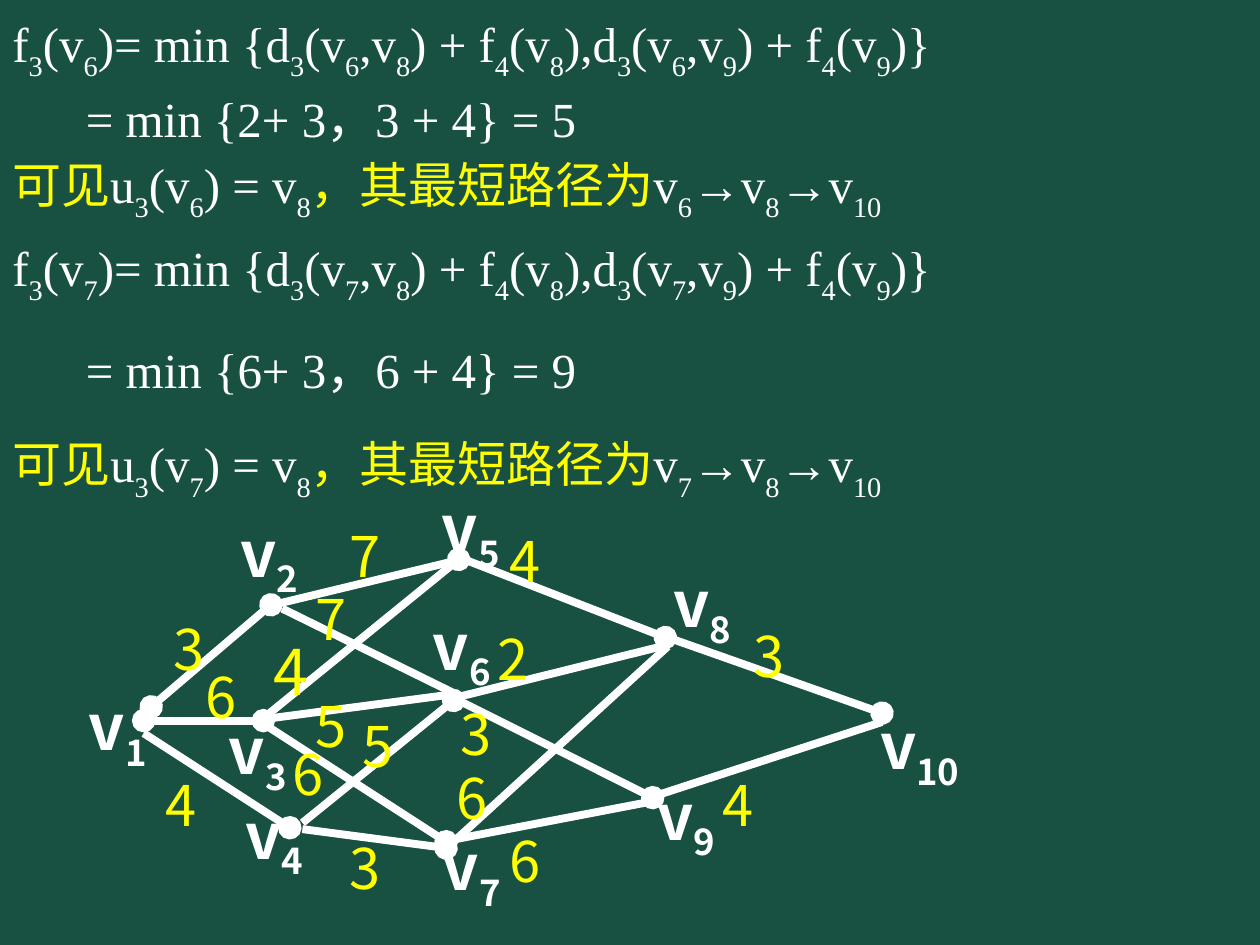
from lxml import etree
from pptx import Presentation
from pptx.dml.color import RGBColor
from pptx.enum.shapes import MSO_CONNECTOR as CONN
from pptx.enum.text import MSO_AUTO_SIZE as AUTO, PP_ALIGN as ALIGN
from pptx.oxml.ns import qn
from pptx.util import Pt

COLORS = {"board": "185041", "chalk": "FFFFFF", "yellow": "FFFF00"}
SERIF, SANS = "Times New Roman", "Noto Sans CJK SC"


def add_box(s, left, top, width, height, wrap):
    tb = s.shapes.add_textbox(Pt(left), Pt(top), Pt(width), Pt(height))
    tf = tb.text_frame
    tf.word_wrap = wrap
    tf.auto_size = AUTO.SHAPE_TO_FIT_TEXT
    return tf


def add_text(p, text, size, color, font, bold=False, base="-30000"):
    """Add runs; the digits right after each underscore become a subscript."""
    first, *rest = text.split("_")
    runs = [(first, False)]
    for part in rest:
        tail = part.lstrip("0123456789")
        runs += [(part[:len(part) - len(tail)], True), (tail, False)]
    for piece, is_sub in runs:
        if not piece:
            continue
        r = p.add_run()
        r.text = piece
        r.font.size = Pt(size)
        r.font.bold = bold
        r.font.name = font
        r.font.color.rgb = RGBColor.from_string(COLORS[color])
        rpr = r.font._element
        etree.SubElement(rpr, qn("a:ea")).set("typeface", SANS)
        if is_sub:
            rpr.set("baseline", base)


prs = Presentation()
prs.slide_width, prs.slide_height = Pt(720), Pt(540)
s = prs.slides.add_slide(prs.slide_layouts[6])
s.background.fill.solid()
s.background.fill.fore_color.rgb = RGBColor.from_string(COLORS["board"])

# Derivations for v6 and v7: top, width, height, node, first cost, second cost,
# result, line spacing of the later lines, space before them
derivations = [
    (0, 720, 118, 6, 2, 3, 5, 1.1, 0),
    (128, 702, 155.5, 7, 6, 6, 9, 1.15, 14),
]
for top, width, height, n, cost8, cost9, best, spacing, before in derivations:
    tf = add_box(s, 0, top, width, height, True)
    lines = [
        [(f"f_3(v_{n})= min {{d_3(v_{n},v_8) + f_4(v_8),d_3(v_{n},v_9) + f_4(v_9)}}", "chalk")],
        [(f"= min {{{cost8}+ 3，{cost9} + 4}} = {best}", "chalk")],
        [("可见", "yellow"), (f"u_3(v_{n}) = v_8", "chalk"),
         ("，其最短路径为", "yellow"), (f"v_{n}→v_8→v_10", "chalk")],
    ]
    for i, segments in enumerate(lines):
        p = tf.add_paragraph() if i else tf.paragraphs[0]
        p.line_spacing = spacing if i else 1.1
        if i and before:
            p.space_before = Pt(before)
        if i == 1:
            p._p.get_or_add_pPr().set("marL", str(Pt(42)))
        for text, color in segments:
            add_text(p, text, 28, color, SERIF)

# Edges of the network: x1, y1, x2, y2, ends that carry a node dot
edges = [
    (86.4, 403.9, 154.8, 345.6, "head tail"),
    (82.1, 411.8, 150.5, 411.8, "head tail"),
    (82.1, 419, 165.6, 473, "tail"),
    (156.2, 345.6, 263.5, 319.7, ""),
    (161.3, 347.8, 259.2, 396, ""),
    (150.5, 410.4, 262.1, 319.7, "tail"),
    (154.8, 410.4, 259.2, 396.7, ""),
    (153.4, 415.4, 254.9, 481, "tail"),
    (172.8, 470.2, 259.2, 400.3, "tail"),
    (172.8, 473.8, 254.9, 484.6, "tail"),
    (267.1, 320.4, 380.2, 364.3, "tail"),
    (262.1, 398.2, 378, 369.4, ""),
    (262.1, 400.3, 373, 455.8, "tail"),
    (259.2, 481, 381.6, 369.4, ""),
    (252.7, 481, 373, 457.9, ""),
    (381.6, 364.3, 504, 407.5, "tail"),
    (378, 453.6, 504, 412.6, ""),
]
for x1, y1, x2, y2, dots in edges:
    line = s.shapes.add_connector(CONN.STRAIGHT, Pt(x1), Pt(y1), Pt(x2), Pt(y2))
    line.line.width = Pt(4.5)
    line.line.color.rgb = RGBColor.from_string(COLORS["chalk"])
    for end in dots.split():
        etree.SubElement(line.line._get_or_add_ln(), qn(f"a:{end}End")).set("type", "oval")
    etree.SubElement(line._element.spPr, qn("a:effectLst"))

# Node names: number, left, top
nodes = [
    (1, 42.5, 389.5), (2, 128.9, 290.2), (3, 122.4, 403.2), (4, 131.8, 451.4),
    (5, 244.1, 275.8), (6, 239, 343.4), (7, 244.8, 469.4), (8, 376.6, 319),
    (9, 367.2, 440.6), (10, 493.9, 400.3),
]
for n, left, top in nodes:
    p = add_box(s, left, top, 63.4 if n > 9 else 49.7, 50.4, False).paragraphs[0]
    p.alignment = ALIGN.CENTER
    add_text(p, f"v_{n}", 36, "chalk", SANS, True, "-25000")

# Edge lengths: value, left, top, text size
lengths = [
    (3, 191.5, 473, 32), (3, 91.4, 347.8, 32), (6, 109.4, 375.1, 32),
    (3, 422.6, 351.4, 32), (3, 254.9, 396, 32), (4, 86.4, 437, 32),
    (4, 148.3, 357.8, 36), (4, 404.6, 437, 32), (4, 283, 297.4, 32),
    (7, 191.5, 294.5, 32), (7, 172.1, 330.5, 32), (5, 172.1, 391.7, 32),
    (6, 283, 468.7, 32), (6, 252.7, 432.7, 32), (6, 159.1, 419, 32),
    (5, 199.4, 403.2, 32), (2, 276.5, 353.5, 32),
]
for value, left, top, size in lengths:
    width, height = (36, 50.4) if size == 36 else (33.8, 45.4)
    p = add_box(s, left, top, width, height, False).paragraphs[0]
    p.alignment = ALIGN.CENTER
    add_text(p, str(value), size, "yellow", SANS)

prs.save("out.pptx")
